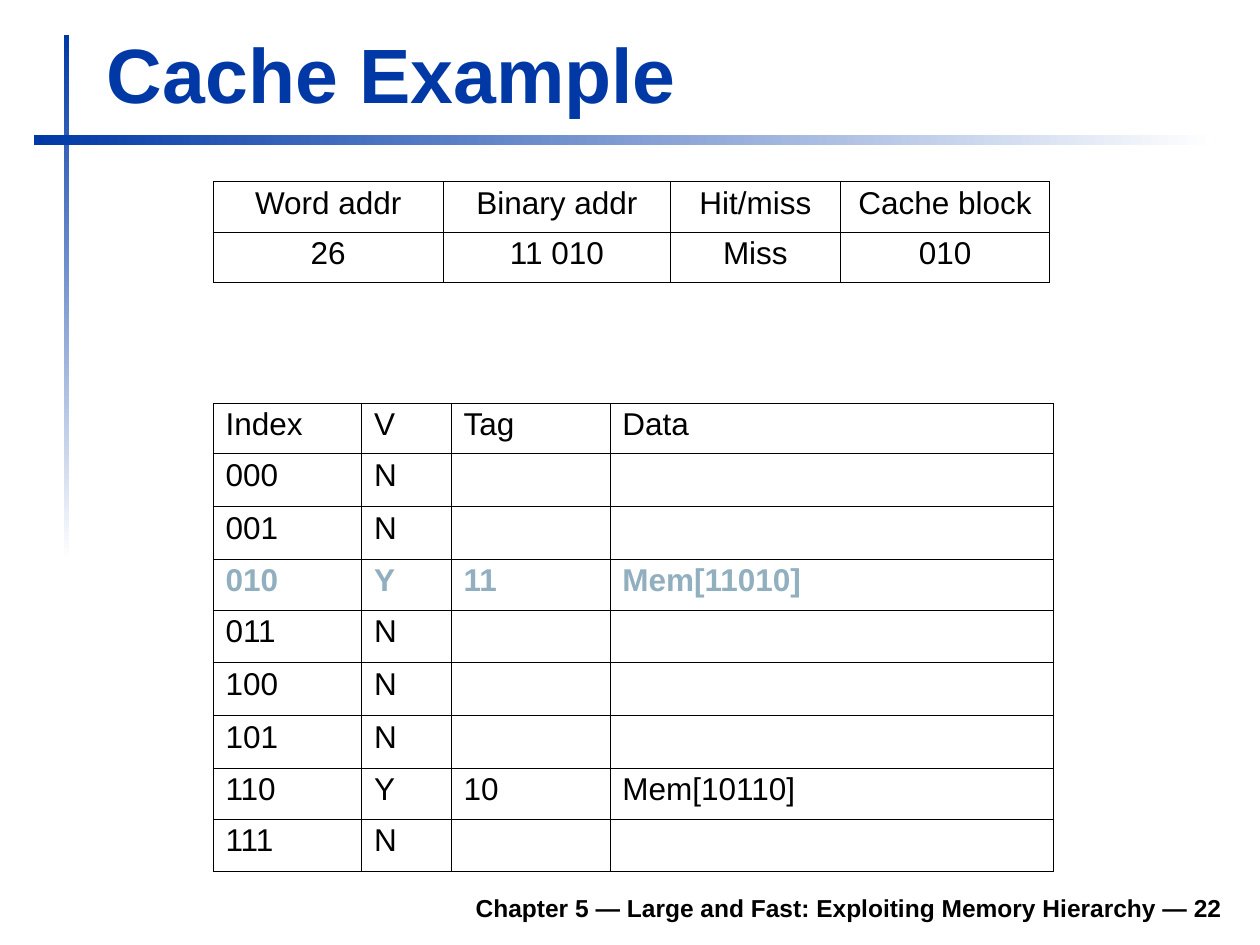
"""Build the cache example slide: an access table above the cache contents."""
from lxml import etree
from pptx import Presentation
from pptx import util as u
from pptx.dml.color import RGBColor
from pptx.enum import shapes, text
from pptx.oxml.ns import qn

COLORS = {"blue": "0039A6", "white": "FFFFFF", "black": "000000", "accent": "91AFBF"}
FONT = "Arial"
OUTER, HEADER, INNER = 0.5, 0.34, 0.23

ACCESS = [
    ["Word addr", "Binary addr", "Hit/miss", "Cache block"],
    ["26", "11 010", "Miss", "010"],
]
CACHED = {"010": ["Y", "11", "Mem[11010]"], "110": ["Y", "10", "Mem[10110]"]}
UPDATED_INDEX = "010"


def rgb(name):
    """Return the named colour."""
    return RGBColor.from_string(COLORS[name])


def style(paragraph, size, color="black", bold=False, align=text.PP_ALIGN.LEFT):
    """Format a paragraph and its runs."""
    paragraph.alignment = align
    for run in paragraph.runs:
        run.font.name = FONT
        run.font.size = u.Pt(size)
        run.font.bold = bold
        run.font.color.rgb = rgb(color)


def add_rule(slide, box, angle):
    """Add a bar that fades from blue to white."""
    rule = slide.shapes.add_shape(shapes.MSO_SHAPE.RECTANGLE, *map(u.Inches, box))
    rule.shadow.inherit = False
    rule.line.fill.background()
    rule.fill.gradient()
    rule.fill.gradient_angle = angle
    for stop, color in zip(rule.fill.gradient_stops, ("blue", "white")):
        stop.color.rgb = rgb(color)


def add_label(slide, box, wording, size, **look):
    """Add a bold line of text resting on the bottom of its box."""
    frame = slide.shapes.add_textbox(*map(u.Inches, box)).text_frame
    frame.word_wrap = True
    frame.vertical_anchor = text.MSO_ANCHOR.BOTTOM
    frame.text = wording
    style(frame.paragraphs[0], size, bold=True, **look)


def set_borders(cell, widths):
    """Draw the cell's left, right, top and bottom borders in points."""
    properties = cell._tc.get_or_add_tcPr()
    for position, (side, width) in enumerate(zip("LRTB", widths)):
        border = etree.Element(qn(f"a:ln{side}"), w=str(u.Pt(width)))
        fill = etree.SubElement(border, qn("a:solidFill"))
        etree.SubElement(fill, qn("a:srgbClr"), val=COLORS["black"])
        properties.insert(position, border)


def edge(index, count, header=False):
    """Return the width of the grid line before the given row or column."""
    if index in (0, count):
        return OUTER
    return HEADER if header and index == 1 else INNER


def add_grid(slide, top, widths, heights, rows, align, highlight=None):
    """Add a ruled table, emphasising the row whose first cell is highlight."""
    frame = slide.shapes.add_table(
        len(rows), len(widths), u.Inches(1.69), u.Inches(top),
        u.Inches(sum(widths)), u.Inches(sum(heights)))
    grid = frame.table
    grid.first_row = grid.horz_banding = False
    for column, width in zip(grid.columns, widths):
        column.width = u.Inches(width)
    for r, (row, height) in enumerate(zip(rows, heights)):
        grid.rows[r].height = u.Inches(height)
        updated = row[0] == highlight
        for c, wording in enumerate(row):
            cell = grid.cell(r, c)
            cell.fill.background()
            set_borders(cell, (edge(c, len(row)), edge(c + 1, len(row)),
                               edge(r, len(rows), True), edge(r + 1, len(rows), True)))
            if wording:
                cell.text_frame.text = wording
                paragraph = cell.text_frame.paragraphs[0]
                paragraph.line_spacing = 0.93
                style(paragraph, 18, "accent" if updated else "black", updated, align)


def cache_rows():
    """Return the header and the eight cache entries."""
    indexes = [f"{number:03b}" for number in range(8)]
    return [["Index", "V", "Tag", "Data"]] + [
        [index] + CACHED.get(index, ["N", "", ""]) for index in indexes]


def main():
    """Build and save the slide."""
    deck = Presentation()
    deck.slide_width, deck.slide_height = u.Inches(10), u.Inches(7.5)
    slide = deck.slides.add_slide(deck.slide_layouts[6])

    add_rule(slide, (0.51, 0.28, 0.04, 4.17), 270)
    add_rule(slide, (0.27, 1.07, 9.37, 0.08), 0)
    add_label(slide, (1.85, 6.98, 7.95, 0.39),
              "Chapter 5 — Large and Fast: Exploiting Memory Hierarchy — 22",
              14, align=text.PP_ALIGN.RIGHT)
    add_label(slide, (0.75, 0.16, 9.03, 0.83), "Cache Example", 44, color="blue")

    entries = cache_rows()
    heights = [0.4 if all(row) else 0.42 for row in entries]
    add_grid(slide, 3.2, [1.18, 0.71, 1.26, 3.52], heights, entries,
             text.PP_ALIGN.LEFT, UPDATED_INDEX)
    add_grid(slide, 1.44, [1.83, 1.8, 1.35, 1.66], [0.4, 0.4], ACCESS,
             text.PP_ALIGN.CENTER)
    deck.save("out.pptx")


if __name__ == "__main__":
    main()
